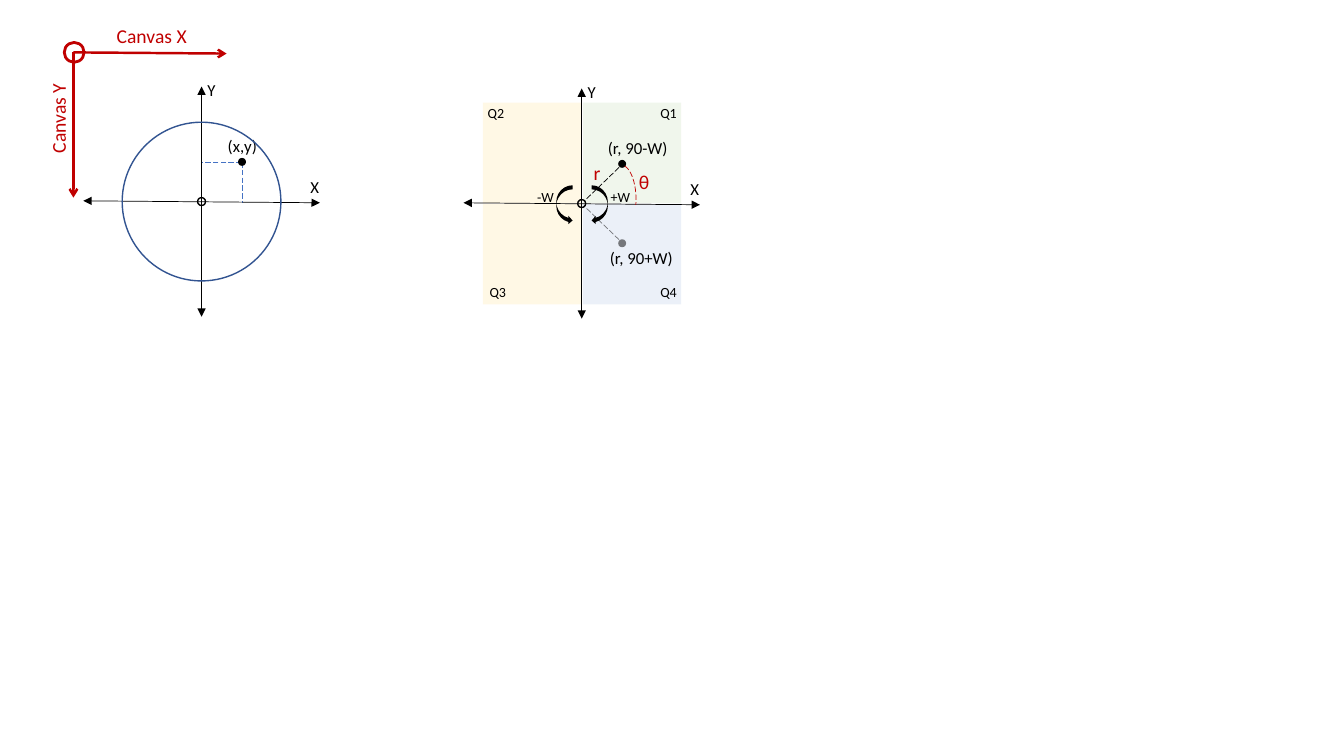
from dataclasses import dataclass

from pptx import Presentation
from pptx.dml.color import RGBColor
from pptx.enum.dml import MSO_LINE
from pptx.enum.shapes import MSO_CONNECTOR, MSO_SHAPE
from pptx.enum.text import MSO_AUTO_SIZE
from pptx.oxml.ns import qn
from pptx.util import Cm, Pt
from lxml.etree import SubElement


@dataclass(frozen=True)
class Theme:
    font: str = "Calibri"
    ink: str = "000000"
    red: str = "C00000"
    blue: str = "4472C4"
    navy: str = "325491"
    green: str = "70AD47"
    gold: str = "FFC000"
    small: int = 10
    normal: int = 12
    large: int = 14


theme = Theme()


def set_alpha(item, percent):
    for color in item._element.spPr.iter(qn("a:srgbClr")):
        SubElement(color, qn("a:alpha"), val=str(percent * 1000))


def add_figure(page, kind, left, top, width, height, fill=None, line=None, weight=1, alpha=None):
    figure = page.shapes.add_shape(kind, Cm(left), Cm(top), Cm(width), Cm(height))
    figure.shadow.inherit = False
    if fill:
        figure.fill.solid()
        figure.fill.fore_color.rgb = RGBColor.from_string(fill)
    else:
        figure.fill.background()
    if line:
        figure.line.color.rgb = RGBColor.from_string(line)
        figure.line.width = Pt(weight)
    else:
        figure.line.fill.background()
    if alpha:
        set_alpha(figure, alpha)
    return figure


def add_circle(page, x, y, diameter, **style):
    corner = (x - diameter / 2, y - diameter / 2)
    return add_figure(page, MSO_SHAPE.OVAL, *corner, diameter, diameter, **style)


def add_line(page, start, end, color=theme.ink, weight=0.5, dashed=False, alpha=None, head=None, tail=None):
    line = page.shapes.add_connector(MSO_CONNECTOR.STRAIGHT, *map(Cm, start + end))
    line.line.color.rgb = RGBColor.from_string(color)
    line.line.width = Pt(weight)
    if dashed:
        line.line.dash_style = MSO_LINE.LONG_DASH
    if alpha:
        set_alpha(line, alpha)
    for tag, arrow in (("a:headEnd", head), ("a:tailEnd", tail)):
        if arrow:
            SubElement(line.line._get_or_add_ln(), qn(tag), type=arrow)
    SubElement(line._element.spPr, qn("a:effectLst"))
    return line


def add_label(page, text, left, top, width, size=theme.normal, color=theme.ink, wrap=False):
    height = {theme.small: 0.69, theme.normal: 0.76, theme.large: 0.86}[size]
    label = page.shapes.add_textbox(Cm(left), Cm(top), Cm(width), Cm(height))
    frame = label.text_frame
    frame.text = text
    frame.word_wrap = wrap
    frame.auto_size = MSO_AUTO_SIZE.SHAPE_TO_FIT_TEXT
    for span in frame.paragraphs[0].runs:
        span.font.name = theme.font
        span.font.size = Pt(size)
        span.font.color.rgb = RGBColor.from_string(color)
    return label


def box_center(box):
    left, top, width, height = box
    return left + width / 2, top + height / 2


def draw_axes(page, box, point_text, label_width):
    left, top, width, height = box
    x, y = box_center(box)
    add_line(page, (left, y - 0.02), (left + width, y + 0.03), head="triangle", tail="triangle")
    add_line(page, (x, top), (x, top + height), head="triangle", tail="triangle")
    add_circle(page, x, y, 0.2, line=theme.ink)
    add_label(page, "X", x + 2.49, y - 0.74, 0.74)
    add_label(page, "Y", x - 0.1, y - 3.2, 0.71)
    add_circle(page, x + 1.02, y - 1, 0.2, fill=theme.ink)
    add_label(page, point_text, x + 0.41, y - 1.78, label_width, wrap=True)


def draw_canvas_axes(page, box):
    left, top, width, height = box
    red = {"color": theme.red}
    add_line(page, (left, top), (left + width, top + 0.03), weight=1.75, tail="arrow", **red)
    add_line(page, (left, top), (left, top + height), weight=1.75, tail="arrow", **red)
    add_circle(page, left + 0.02, top, 0.5, line=theme.red, weight=2)
    add_label(page, "Canvas X", left + 0.84, top - 0.84, 2.31, theme.large, **red)
    label = add_label(page, "Canvas Y", left - 1.52, top + 1.22, 2.29, theme.large, **red)
    label.rotation = 270


def draw_cartesian_plane(page, box):
    x, y = box_center(box)
    point = (x + 1.02, y - 1)
    for foot in ((x + 1.02, y + 0.03), (x, y - 1)):
        add_line(page, point, foot, color=theme.blue, dashed=True)
    draw_axes(page, box, "(x,y)", 1.35)
    add_circle(page, x, y, 4, line=theme.navy)


def draw_polar_plane(page, box):
    x, y = box_center(box)
    quadrants = (
        ("Q4", 0.03, 0.01, theme.blue, 1.73, 1.9),
        ("Q1", 0.03, -2.54, theme.green, 1.73, -2.62),
        ("Q2", -2.49, -2.54, theme.gold, -2.62, -2.62),
        ("Q3", -2.49, 0.01, theme.gold, -2.57, 1.88),
    )
    for name, across, down, fill, label_across, label_down in quadrants:
        add_figure(page, MSO_SHAPE.RECTANGLE, x + across, y + down, 2.48, 2.53, fill=fill, alpha=10)
        add_label(page, name, x + label_across, y + label_down, 0.94, theme.small)
    draw_axes(page, box, "(r, 90-W)", 2.11)

    for side, alpha in ((-1, None), (1, 50)):
        add_line(page, (x + 0.94, y + side * 0.91), (x + 0.08, y + side * 0.08), dashed=True, alpha=alpha)
    add_circle(page, x + 1.02, y + 1, 0.2, fill=theme.ink, alpha=50)
    add_label(page, "(r, 90+W)", x + 0.46, y + 0.99, 2.46, wrap=True)

    turns = (
        (MSO_SHAPE.CURVED_RIGHT_ARROW, -0.64, "-W", -1.37, 0.94),
        (MSO_SHAPE.CURVED_LEFT_ARROW, 0.25, "+W", 0.48, 1.02),
    )
    for kind, across, text, label_across, label_width in turns:
        add_figure(page, kind, x + across, y - 0.46, 0.41, 0.99, fill=theme.ink)
        add_label(page, text, x + label_across, y - 0.51, label_width, theme.small)

    add_label(page, "r", x + 0.05, y - 1.19, 0.69, theme.large, theme.red)
    arc = add_figure(page, MSO_SHAPE.ARC, x + 0.56, y - 0.99, 0.81, 1.75, line=theme.red, weight=0.5)
    arc.adjustments[0] = 166.93
    arc.adjustments[1] = 12.12
    arc.line.dash_style = MSO_LINE.LONG_DASH
    add_label(page, "θ", x + 1.19, y - 0.97, 0.79, theme.large, theme.red)


deck = Presentation()
deck.slide_width = Cm(33.87)
deck.slide_height = Cm(19.05)
page = deck.slides.add_slide(deck.slide_layouts[6])
draw_polar_plane(page, (11.68, 2.23, 5.96, 5.8))
draw_cartesian_plane(page, (2.1, 2.18, 5.96, 5.8))
draw_canvas_axes(page, (1.85, 1.32, 3.86, 3.66))
deck.save("out.pptx")
